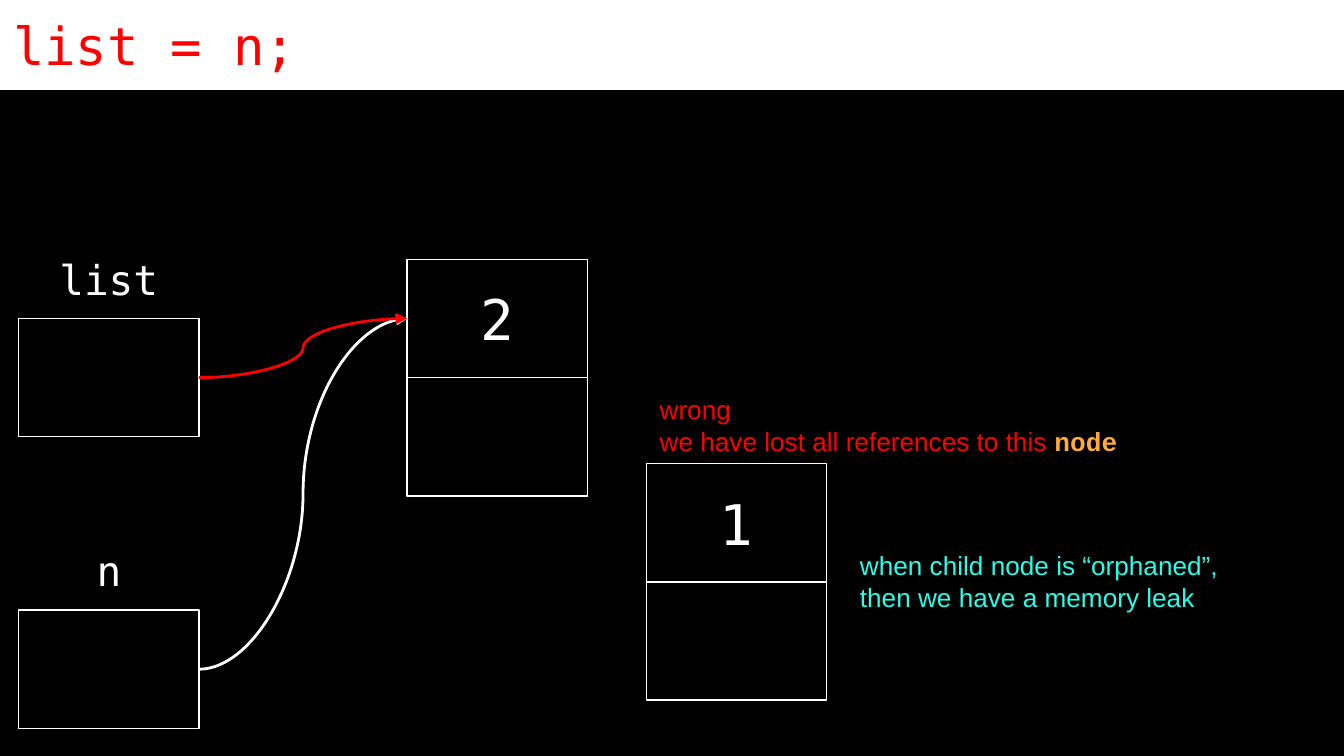
import pptx
import pptx.util
import pptx.dml.color
import pptx.enum.shapes
import pptx.enum.text
import pptx.oxml.ns
import lxml.etree

RGB = pptx.dml.color.RGBColor
BLACK = RGB(0x00, 0x00, 0x00)
WHITE = RGB(0xFF, 0xFF, 0xFF)
RED = RGB(0xFF, 0x00, 0x00)
CYAN = RGB(0x27, 0xFF, 0xEB)
AMBER = RGB(0xFF, 0xAB, 0x40)

PX = 9144  # 100 px to the inch
CELL_W, CELL_H = 134, 88
LABEL_W, LABEL_H, LABEL_UP = 94, 44, 58
MONO = "DejaVu Sans Mono"

# Formats
HEAD = {"name": MONO, "size": 28, "color": RED}
LABEL = {"name": MONO, "size": 22, "color": WHITE}
VALUE = {"name": MONO, "size": 30, "color": WHITE}
WARN = {"name": "Arial", "size": 14, "color": RED}
TERM = {"name": "Courier New", "size": 14, "color": AMBER, "bold": True}
LEAK = {"name": "Arial", "size": 14, "color": CYAN}

# Content
TITLE = "list = n;"
VARS = [("list", 14, 237), ("n", 14, 454)]
NODES = [("1", 481, 345), ("2", 303, 193)]
ARROWS = [("n", "2", WHITE), ("list", "2", RED)]
NOTES = [
    ((481, 288, 375, 57), [
        [("wrong", WARN)],
        [("we have lost all references to this ", WARN), ("node", TERM)],
    ]),
    ((630, 404, 287, 57), [
        [("when child node is “orphaned”, then we have a memory leak", LEAK)],
    ]),
]

deck = pptx.Presentation()
deck.slide_width, deck.slide_height = 1000 * PX, 5625 * PX // 10
slide = deck.slides.add_slide(deck.slide_layouts[6])
slide.background.fill.solid()
slide.background.fill.fore_color.rgb = BLACK


def style(font, form):
    for key, val in form.items():
        if key == "color":
            font.color.rgb = val
        else:
            setattr(font, key, pptx.util.Pt(val) if key == "size" else val)


def write(shape, paras, center=False, middle=False, pad=10):
    frame = shape.text_frame
    anchor = pptx.enum.text.MSO_ANCHOR
    form = {
        "word_wrap": True,
        "vertical_anchor": anchor.MIDDLE if middle else anchor.TOP,
        "margin_left": 10 * PX, "margin_right": 10 * PX,
        "margin_top": pad * PX, "margin_bottom": pad * PX,
    }
    for key, val in form.items():
        setattr(frame, key, val)
    align = pptx.enum.text.PP_ALIGN
    for i, runs in enumerate(paras):
        para = frame.add_paragraph() if i else frame.paragraphs[0]
        para.alignment = align.CENTER if center else align.LEFT
        for text, form in runs:
            run = para.add_run()
            run.text = text
            style(run.font, form)


def rect(x, y, w, h, fill=None, line=None):
    shape = slide.shapes.add_shape(
        pptx.enum.shapes.MSO_SHAPE.RECTANGLE, x * PX, y * PX, w * PX, h * PX)
    shape.shadow.inherit = False
    for part, color in ((shape.fill, fill), (shape.line.fill, line)):
        if color is None:
            part.background()
        else:
            part.solid()
            part.fore_color.rgb = color
    if line is not None:
        shape.line.width = pptx.util.Pt(0.75)
    return shape


def text_box(x, y, w, h):
    return slide.shapes.add_textbox(x * PX, y * PX, w * PX, h * PX)


def arrow(start, end, color):
    link = slide.shapes.add_connector(
        pptx.enum.shapes.MSO_CONNECTOR.CURVE, 0, 0, 0, 0)
    link.begin_connect(start, 3)  # right side
    link.end_connect(end, 1)  # left side
    link.line.color.rgb = color
    link.line.width = pptx.util.Pt(1.5)
    qn = pptx.oxml.ns.qn
    tail = lxml.etree.SubElement(link.line._get_or_add_ln(), qn("a:tailEnd"))
    tail.set("type", "triangle")
    lxml.etree.SubElement(link._element.spPr, qn("a:effectLst"))


# Title band
write(rect(0, 0, 1000, 67, fill=WHITE), [[(TITLE, HEAD)]])

# Variables with their labels
cells = {}
for name, x, y in VARS:
    cells[name] = rect(x, y, CELL_W, CELL_H, line=WHITE)
    label = text_box(x + (CELL_W - LABEL_W) // 2, y - LABEL_UP, LABEL_W, LABEL_H)
    write(label, [[(name, LABEL)]], center=True)

# Nodes: value cell above link cell
for value, x, y in NODES:
    cells[value] = rect(x, y, CELL_W, CELL_H, line=WHITE)
    write(cells[value], [[(value, VALUE)]], center=True, middle=True)
    rect(x, y + CELL_H, CELL_W, CELL_H, line=WHITE)

# References
for start, end, color in ARROWS:
    arrow(cells[start], cells[end], color)

# Notes
for place, paras in NOTES:
    write(text_box(*place), paras, pad=5)

deck.save("out.pptx")
